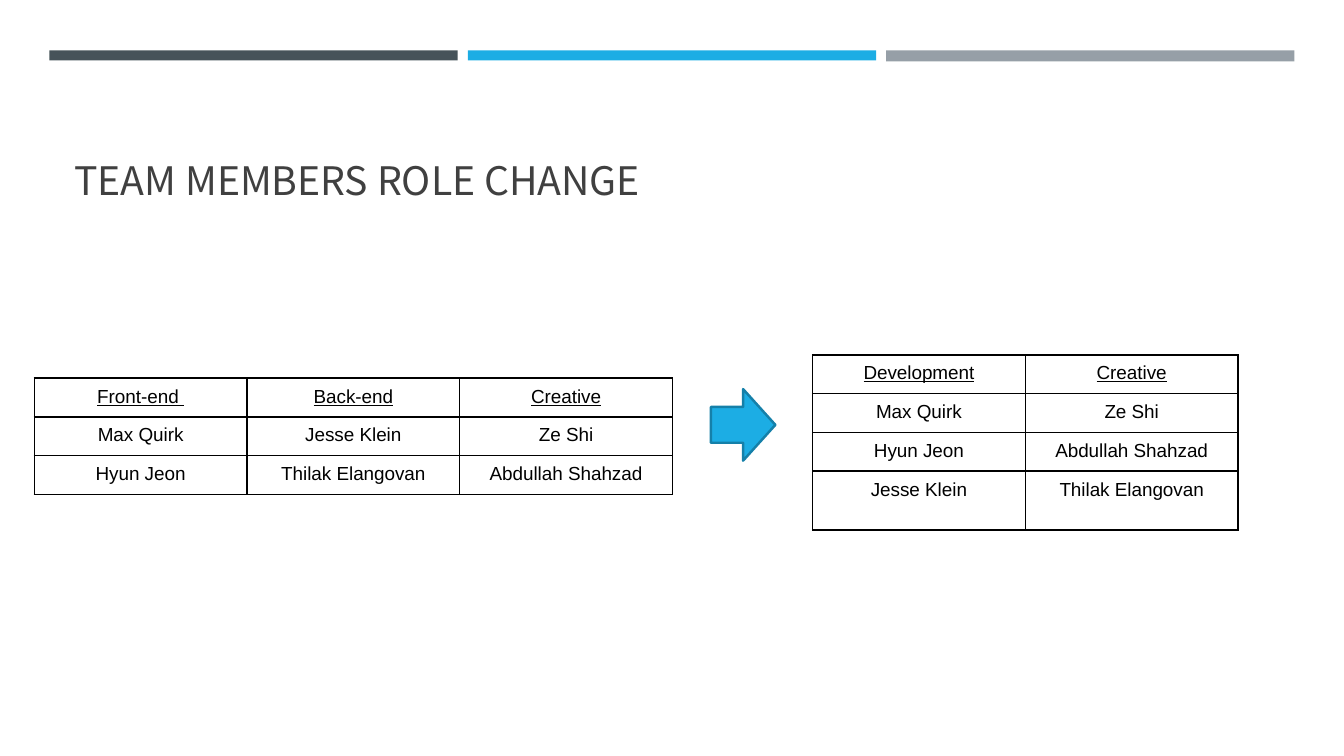
from dataclasses import dataclass

from lxml import etree
from pptx import Presentation
from pptx import util as u
from pptx.dml.color import RGBColor
from pptx.enum import shapes, text
from pptx.oxml import ns

COLORS = {
    "slate": "465359",
    "blue": "1CADE4",
    "grey": "969FA7",
    "arrow edge": "1580A9",
    "title": "404040",
    "ink": "000000",
}
SLIDE_WIDTH, SLIDE_HEIGHT = u.Inches(13.33), u.Inches(7.5)
BAR_LEFT, BAR_STEP = 3.68, 31.13
COLUMN_WIDTH, ROW_HEIGHT = 15.83, 5
TITLE_FORMAT = {"name": "Noto Sans CJK KR", "size": u.Pt(28)}
CELL_FORMAT = {"name": "Arial", "size": u.Pt(13.5), "bold": False}
CELL_INSETS = dict.fromkeys(
    ("margin_left", "margin_top", "margin_right", "margin_bottom"), u.Inches(0.08)
)
BORDER_WIDTH = u.Pt(1.2)


@dataclass
class Area:
    """Shares of the slide's size, in percent."""

    left: float
    top: float
    width: float
    height: float

    def lengths(self) -> tuple[int, int, int, int]:
        return across(self.left), down(self.top), across(self.width), down(self.height)


@dataclass
class Bar:
    column: int
    color: str
    height: float


@dataclass
class RoleTable:
    left: float
    top: float
    rows: list[list[str]]
    last_row: float = ROW_HEIGHT


BARS = [Bar(0, "slate", 1.33), Bar(2, "grey", 1.47), Bar(1, "blue", 1.33)]
ROLE_TABLES = [
    RoleTable(2.55, 50, [
        ["Front-end ", "Back-end", "Creative"],
        ["Max Quirk", "Jesse Klein", "Ze Shi"],
        ["Hyun Jeon", "Thilak Elangovan", "Abdullah Shahzad"],
    ]),
    RoleTable(60.46, 46.93, [
        ["Development", "Creative"],
        ["Max Quirk", "Ze Shi"],
        ["Hyun Jeon", "Abdullah Shahzad"],
        ["Jesse Klein", "Thilak Elangovan"],
    ], 7.8),
]


def across(share: float) -> int:
    return round(SLIDE_WIDTH * share / 100)


def down(share: float) -> int:
    return round(SLIDE_HEIGHT * share / 100)


def rgb(name: str) -> RGBColor:
    return RGBColor.from_string(COLORS[name])


def apply(target, values: dict) -> None:
    for name, value in values.items():
        setattr(target, name, value)


def write(para, words: str, values: dict, color: str) -> None:
    span = para.add_run()
    span.text = words
    apply(span.font, values)
    span.font.color.rgb = rgb(color)


def draw_shape(page, kind, area: Area, color: str):
    shape = page.shapes.add_shape(kind, *area.lengths())
    shape.shadow.inherit = False
    shape.fill.solid()
    shape.fill.fore_color.rgb = rgb(color)
    shape.line.fill.background()
    return shape


def draw_bar(page, bar: Bar) -> None:
    area = Area(BAR_LEFT + bar.column * BAR_STEP, 6.67, 30.38, bar.height)
    draw_shape(page, shapes.MSO_SHAPE.RECTANGLE, area, bar.color)


def draw_title(page) -> None:
    box = page.shapes.add_textbox(*Area(4.8, 10.27, 90.47, 17.33).lengths())
    apply(box.text_frame, {"word_wrap": True, "vertical_anchor": text.MSO_ANCHOR.BOTTOM})
    write(box.text_frame.paragraphs[0], "TEAM MEMBERS ROLE CHANGE", TITLE_FORMAT, "title")


def draw_borders(cell) -> None:
    properties = cell._tc.get_or_add_tcPr()
    for position, side in enumerate(("a:lnL", "a:lnR", "a:lnT", "a:lnB")):
        edge = etree.Element(ns.qn(side), w=str(BORDER_WIDTH))
        fill = etree.SubElement(edge, ns.qn("a:solidFill"))
        etree.SubElement(fill, ns.qn("a:srgbClr"), val=COLORS["ink"])
        properties.insert(position, edge)


def draw_table(page, roles: RoleTable) -> None:
    columns = len(roles.rows[0])
    heights = [ROW_HEIGHT] * (len(roles.rows) - 1) + [roles.last_row]
    area = Area(roles.left, roles.top, columns * COLUMN_WIDTH, sum(heights))
    table = page.shapes.add_table(len(heights), columns, *area.lengths()).table
    apply(table, {"first_row": False, "horz_banding": False})
    for column in table.columns:
        column.width = across(COLUMN_WIDTH)
    for index, (height, names) in enumerate(zip(heights, roles.rows)):
        table.rows[index].height = down(height)
        for cell, name in zip(table.rows[index].cells, names):
            cell.fill.background()
            apply(cell, CELL_INSETS)
            para = cell.text_frame.paragraphs[0]
            para.alignment = text.PP_ALIGN.CENTER
            write(para, name, CELL_FORMAT | {"underline": index == 0}, "ink")
            draw_borders(cell)


def draw_arrow(page) -> None:
    area = Area(52.89, 51.47, 4.8, 9.47)
    arrow = draw_shape(page, shapes.MSO_SHAPE.RIGHT_ARROW, area, "blue")
    arrow.line.color.rgb = rgb("arrow edge")
    arrow.line.width = u.Pt(1.75)


def main() -> None:
    deck = Presentation()
    apply(deck, {"slide_width": SLIDE_WIDTH, "slide_height": SLIDE_HEIGHT})
    page = deck.slides.add_slide(deck.slide_layouts[6])
    for bar in BARS:
        draw_bar(page, bar)
    draw_title(page)
    for roles in ROLE_TABLES:
        draw_table(page, roles)
    draw_arrow(page)
    deck.save("out.pptx")


if __name__ == "__main__":
    main()
